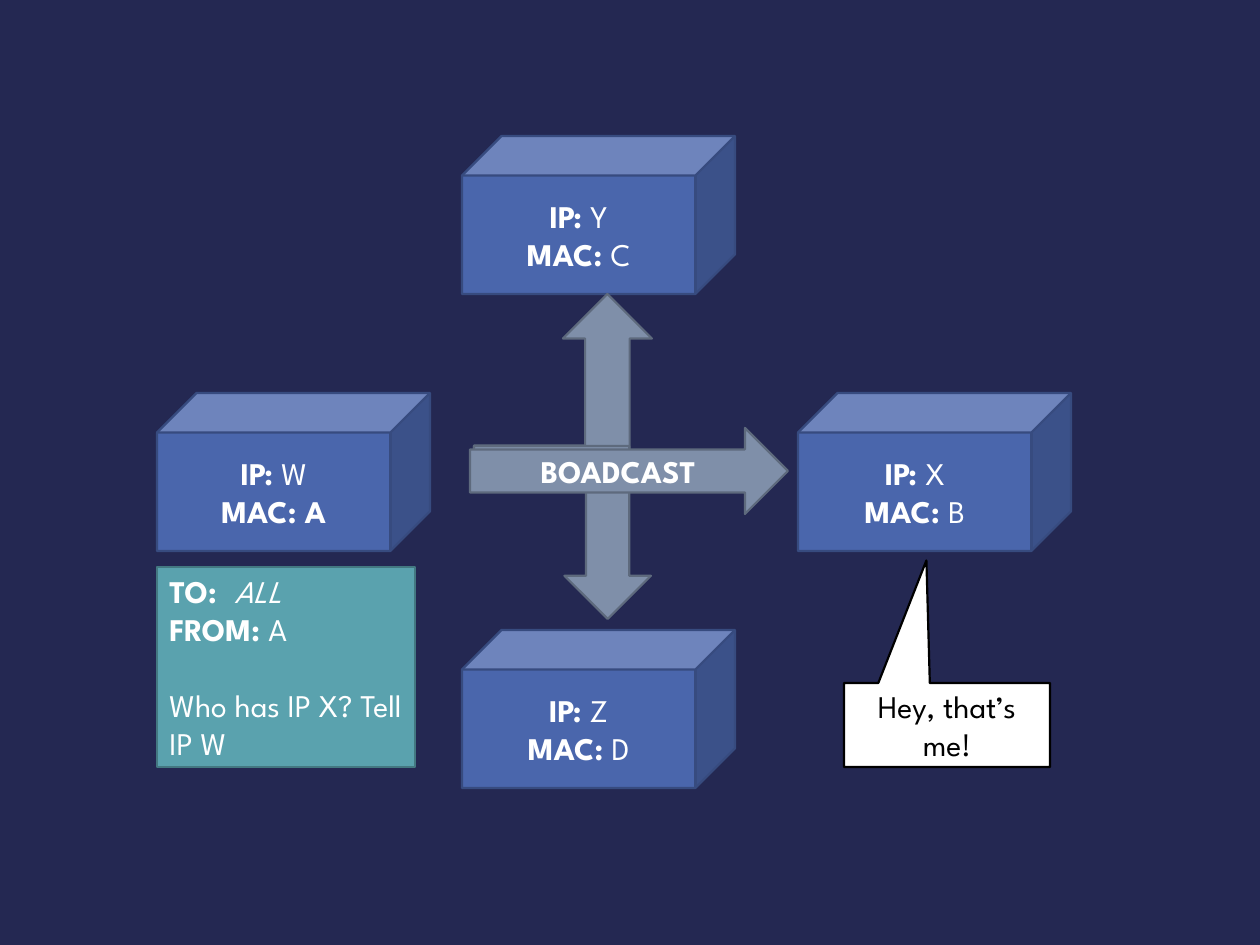
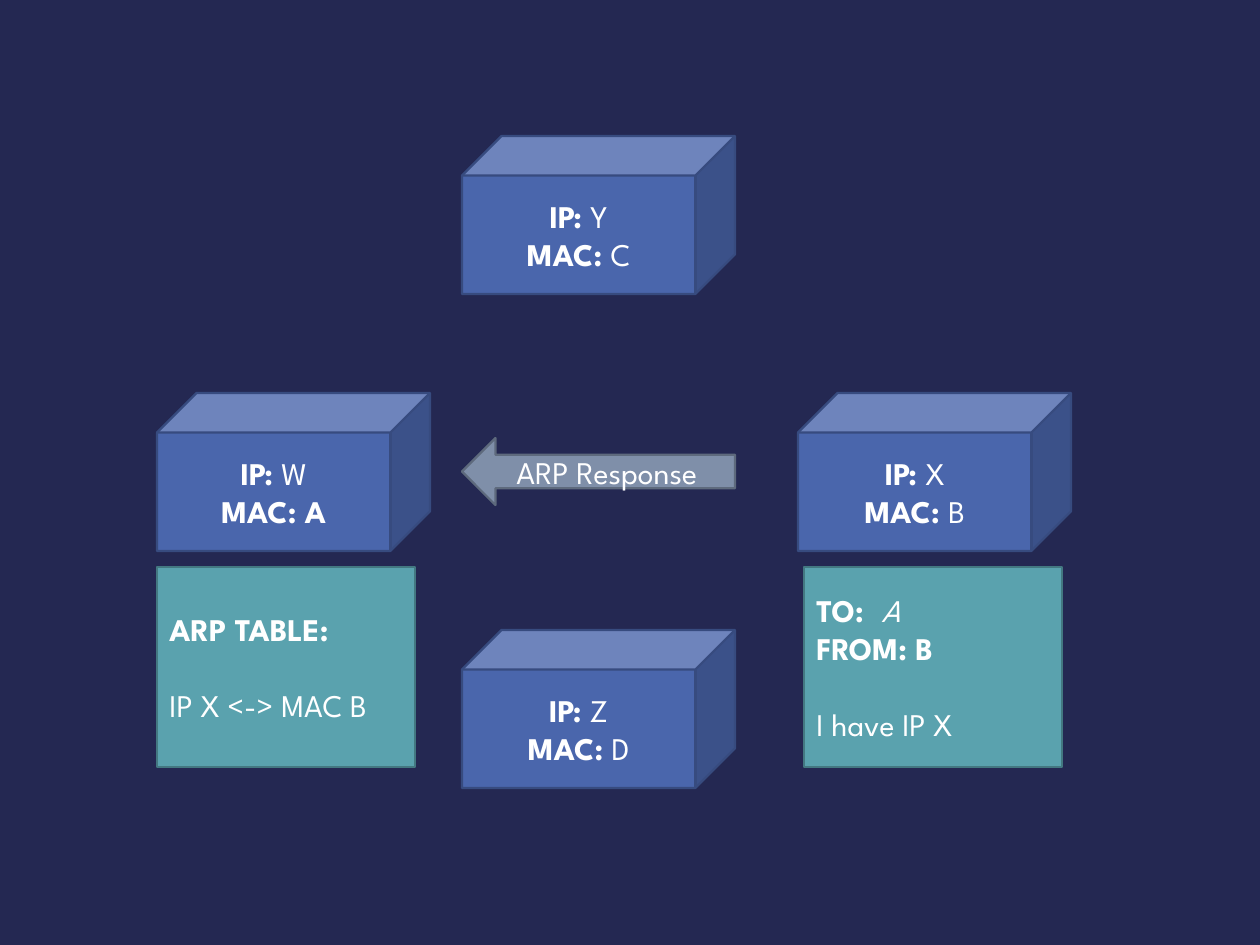
from dataclasses import dataclass

from lxml import etree
from pptx import Presentation
from pptx.dml.color import RGBColor
from pptx.enum.shapes import MSO_SHAPE
from pptx.enum.text import MSO_ANCHOR, PP_ALIGN
from pptx.oxml.ns import qn
from pptx.util import Emu, Pt

CUBE = MSO_SHAPE.CUBE
RECT = MSO_SHAPE.RECTANGLE
CALLOUT = MSO_SHAPE.RECTANGULAR_CALLOUT
RIGHT_ARROW = MSO_SHAPE.RIGHT_ARROW
LEFT_ARROW = MSO_SHAPE.LEFT_ARROW
BENT_ARROW = MSO_SHAPE.BENT_UP_ARROW
LEFT, CENTER = PP_ALIGN.LEFT, PP_ALIGN.CENTER
MIDDLE = MSO_ANCHOR.MIDDLE

EMU_PER_PX = 914400 / 126
SLIDE_W, SLIDE_H = 1260, 945
HOST_W, HOST_H = 273, 158
NOTE_W, NOTE_H = 258, 200
NOTE_TOP = 567
TAB_STOP = 65


@dataclass(frozen=True)
class Theme:
    background: str = "242852"
    host: tuple = ("4A66AC", "374B7F")
    arrow: tuple = ("7F8FA9", "5E6A7D")
    note: tuple = ("5AA2AE", "437881")
    callout: tuple = ("FFFFFF", "000000")
    light: str = "FFFFFF"
    dark: str = "000000"
    font: str = "League Spartan"
    size: int = 18
    line_width: float = 1.25
    body_gap: float = 21.7


def px(n):
    return Emu(round(n * EMU_PER_PX))


def rgb(value):
    return RGBColor.from_string(value)


def bold(text):
    return text, True, False


def plain(text):
    return text, False, False


def italic(text):
    return text, False, True


def add_tab_stop(p, position):
    tabs = etree.SubElement(p._p.get_or_add_pPr(), qn("a:tabLst"))
    etree.SubElement(tabs, qn("a:tab"), pos=str(px(position)), algn="l")


def write_text(tf, lines, *, theme, color, align=CENTER, body_from=None):
    tf.word_wrap = True
    tf.vertical_anchor = MIDDLE
    for i, line in enumerate(lines):
        p = tf.paragraphs[0] if i == 0 else tf.add_paragraph()
        if any("\t" in text for text, _, _ in line):
            add_tab_stop(p, TAB_STOP)
        p.alignment = align
        if i == body_from:
            p.space_before = Pt(theme.body_gap)
        for text, is_bold, is_italic in line:
            r = p.add_run()
            r.text = text
            r.font.name = theme.font
            r.font.size = Pt(theme.size)
            r.font.bold = is_bold
            r.font.italic = is_italic
            r.font.color.rgb = rgb(color)


class Deck:
    def __init__(self, theme):
        self.theme = theme
        self.prs = Presentation()
        self.prs.slide_width = px(SLIDE_W)
        self.prs.slide_height = px(SLIDE_H)
        self.slide = None

    def new_slide(self):
        self.slide = self.prs.slides.add_slide(self.prs.slide_layouts[6])
        fill = self.slide.background.fill
        fill.solid()
        fill.fore_color.rgb = rgb(self.theme.background)

    def shape(self, kind, box, colors, lines=(), color=None, **text_format):
        s = self.slide.shapes.add_shape(kind, *map(px, box))
        s.shadow.inherit = False
        fill, line = colors
        s.fill.solid()
        s.fill.fore_color.rgb = rgb(fill)
        s.line.color.rgb = rgb(line)
        s.line.width = Pt(self.theme.line_width)
        if lines:
            write_text(s.text_frame, lines, theme=self.theme,
                       color=color or self.theme.light, **text_format)
        return s

    def host(self, x, y, ip, mac):
        lines = [[bold("IP: "), plain(ip)], [bold("MAC: "), mac]]
        self.shape(CUBE, (x, y, HOST_W, HOST_H), self.theme.host, lines)

    def arrow(self, kind, box, label=None, flip=False):
        s = self.shape(kind, box, self.theme.arrow, [[label]] if label else ())
        if flip:
            s._element.spPr.xfrm.set("flipV", "1")

    def note(self, x, header, body):
        self.shape(RECT, (x, NOTE_TOP, NOTE_W, NOTE_H), self.theme.note,
                   [*header, [plain(body)]], align=LEFT, body_from=len(header))

    def callout(self, box, text, tip):
        s = self.shape(CALLOUT, box, self.theme.callout, [[plain(text)]],
                       color=self.theme.dark)
        for i, value in enumerate(tip):
            s.adjustments[i] = value


def add_network(deck):
    deck.new_slide()
    deck.host(157, 393, "W", bold("A"))
    deck.host(798, 393, "X", plain("B"))
    deck.host(462, 630, "Z", plain("D"))
    deck.host(462, 136, "Y", plain("C"))


def add_request_slide(deck):
    add_network(deck)
    deck.arrow(BENT_ARROW, (474, 294, 178, 196))
    deck.arrow(BENT_ARROW, (474, 446, 177, 173), flip=True)
    deck.arrow(RIGHT_ARROW, (470, 428, 318, 86), bold("BOADCAST"))
    deck.note(157, [[bold("TO:\t"), italic("ALL")], [bold("FROM: "), plain("A")]],
              "Who has IP X? Tell IP W")
    deck.callout((844, 683, 206, 84), "Hey, that’s me!", (-0.1, -1.96))


def add_response_slide(deck):
    add_network(deck)
    deck.note(157, [[bold("ARP TABLE:")]], "IP X <-> MAC B")
    deck.note(804, [[bold("TO:\t"), italic("A")], [bold("FROM: B")]], "I have IP X")
    deck.arrow(LEFT_ARROW, (462, 438, HOST_W, 67), plain("ARP Response"))


def main():
    deck = Deck(Theme())
    add_request_slide(deck)
    add_response_slide(deck)
    deck.prs.save("out.pptx")


if __name__ == "__main__":
    main()
